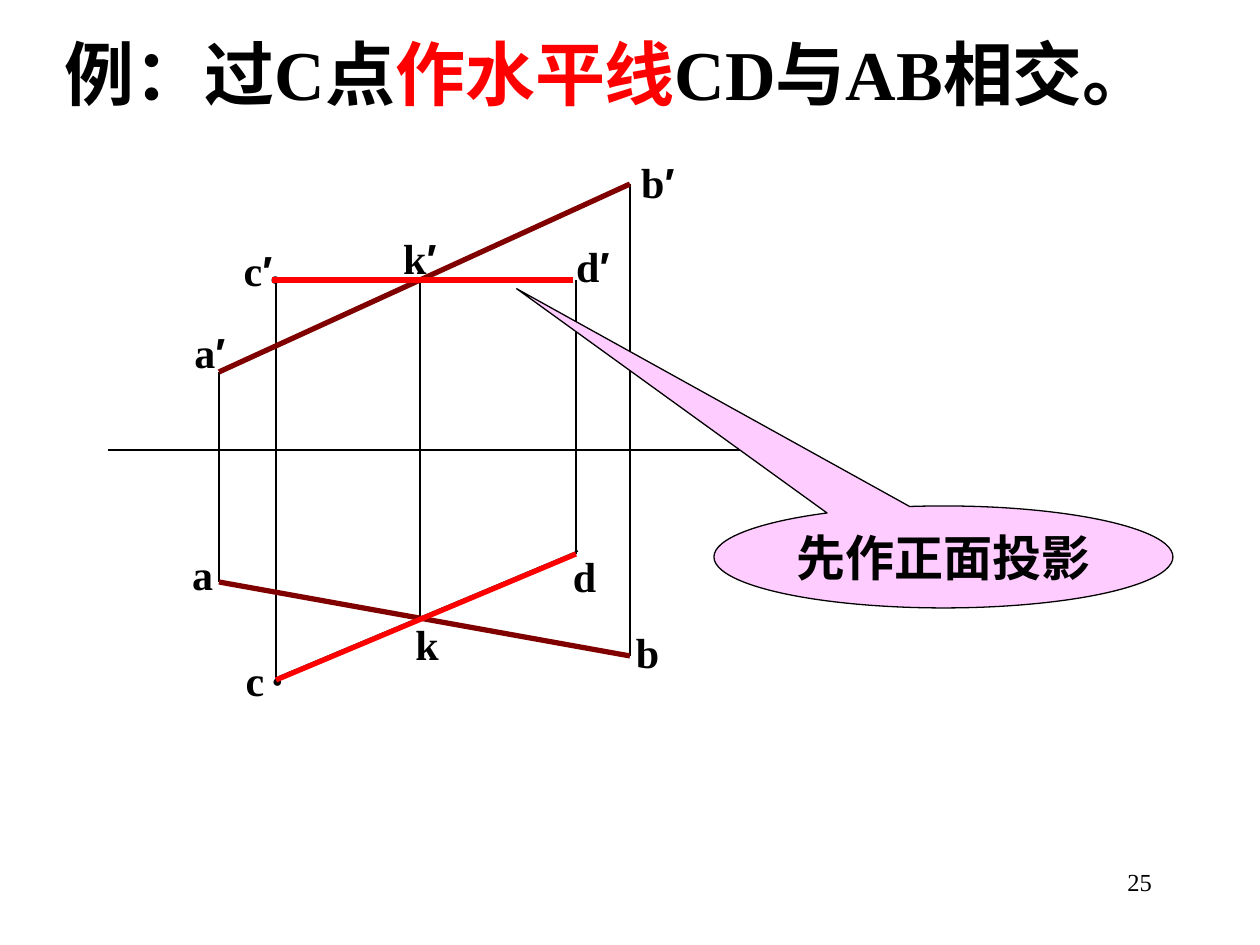
from lxml import etree
from pptx import Presentation
from pptx.dml.color import RGBColor
from pptx.enum.shapes import MSO_CONNECTOR, MSO_SHAPE
from pptx.enum.text import MSO_ANCHOR, MSO_AUTO_SIZE, PP_ALIGN
from pptx.oxml.ns import qn
from pptx.util import Pt

PX = 914400 // 126
SERIF, SANS = "Times New Roman", "Arial"
BLACK, RED, MAROON, PINK = "000000", "FF0000", "800000", "FFCCFF"

# Points of the drawing: the front view is above the axis, the top view below it.
FRONT = {"a": (219, 372), "b": (630, 184), "c": (276, 280), "d": (576, 280), "k": (420, 280)}
TOP = {"a": (219, 582), "b": (630, 656), "c": (276, 680), "d": (576, 554), "k": (420, 620)}

FRONT_LABELS = {"a": (180, 320, 60), "b": (627, 150, 62), "c": (229, 238, 58),
                "d": (562, 234, 62), "k": (389, 226, 62)}
TOP_LABELS = {"a": (180, 542, 45), "b": (611, 620, 73), "c": (233, 648, 44),
              "d": (561, 544, 47), "k": (403, 612, 48)}
LABEL_HEIGHT = 63


def px(*lengths):
    return [length * PX for length in lengths]


def color(value):
    return RGBColor.from_string(value)


def set_attributes(target, values):
    for name, value in values.items():
        setattr(target, name, value)


def write(shape, spans, size, align=PP_ALIGN.CENTER, bold=True, wrap=False,
          anchor=MSO_ANCHOR.MIDDLE):
    """Fill a shape with one paragraph made of (text, colour, font) spans."""
    left, top = px(13, 6)
    set_attributes(shape.text_frame, {
        "auto_size": MSO_AUTO_SIZE.NONE, "word_wrap": wrap, "vertical_anchor": anchor,
        "margin_left": left, "margin_right": left, "margin_top": top, "margin_bottom": top})
    para = shape.text_frame.paragraphs[0]
    set_attributes(para, {"alignment": align, "space_before": Pt(0)})
    for text, text_color, font in spans:
        span = para.add_run()
        span.text = text
        set_attributes(span.font, {"name": font, "size": Pt(size), "bold": bold})
        span.font.color.rgb = color(text_color)


def add_text(page, place, spans, size, **layout):
    box = page.shapes.add_textbox(*px(*place))
    write(box, spans, size, **layout)


def add_line(page, start, end, line_color=BLACK, width=0.75):
    line = page.shapes.add_connector(MSO_CONNECTOR.STRAIGHT, *px(*start, *end))
    line.line.color.rgb = color(line_color)
    line.line.width = Pt(width)
    etree.SubElement(line._element.spPr, qn("a:effectLst"))


def add_title(page):
    title = page.shapes.title
    set_attributes(title, dict(zip(("left", "top", "width", "height"), px(52, 24, 1213, 97))))
    write(title, [("例：过C点", BLACK, SERIF), ("作水平线", RED, SERIF),
                  ("CD与AB相交。", BLACK, SERIF)], 40, align=PP_ALIGN.LEFT)


def add_projections(page):
    add_line(page, (278, 677), (578, 551))
    add_line(page, (108, 450), (771, 450))
    for point in FRONT:
        add_line(page, FRONT[point], TOP[point])
    for view in (FRONT, TOP):
        add_line(page, view["a"], view["b"], MAROON, 3)
    for left, top in ((258, 262), (260, 664)):
        add_text(page, (left, top, 35, 34), [("●", BLACK, SERIF)], 10)
    add_line(page, (272, 280), (573, 280), RED, 3)
    add_line(page, TOP["c"], TOP["d"], RED, 3)


def add_labels(page):
    for labels, mark in ((FRONT_LABELS, [("′", BLACK, SANS)]), (TOP_LABELS, [])):
        for name, place in labels.items():
            add_text(page, (*place, LABEL_HEIGHT), [(name, BLACK, SERIF), *mark], 24)


def add_callout(page):
    callout = page.shapes.add_shape(MSO_SHAPE.OVAL_CALLOUT, *px(714, 506, 459, 102))
    callout.adjustments[0], callout.adjustments[1] = -0.93, -2.63
    callout.shadow.inherit = False
    callout.fill.solid()
    callout.fill.fore_color.rgb = color(PINK)
    callout.line.color.rgb = color(BLACK)
    callout.line.width = Pt(0.75)
    write(callout, [("先作正面投影", BLACK, SERIF)], 28, wrap=True)


def main():
    deck = Presentation()
    deck.slide_width, deck.slide_height = px(1260, 945)
    page = deck.slides.add_slide(deck.slide_layouts[5])
    add_title(page)
    add_projections(page)
    add_labels(page)
    add_callout(page)
    add_text(page, (903, 861, 262, 63), [("25", BLACK, SERIF)], 14, align=PP_ALIGN.RIGHT,
             bold=False, wrap=True, anchor=MSO_ANCHOR.TOP)
    deck.save("out.pptx")


if __name__ == "__main__":
    main()
